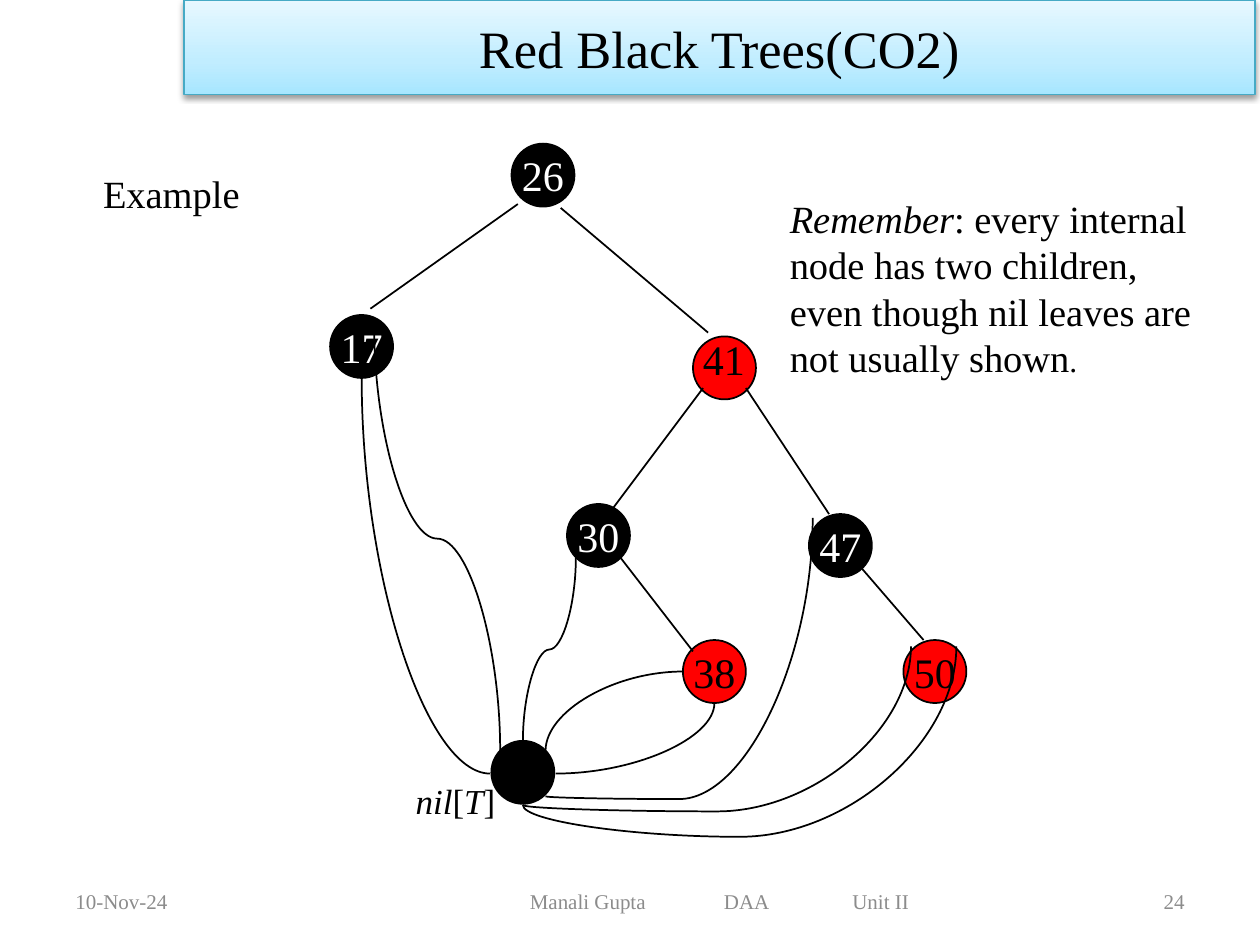
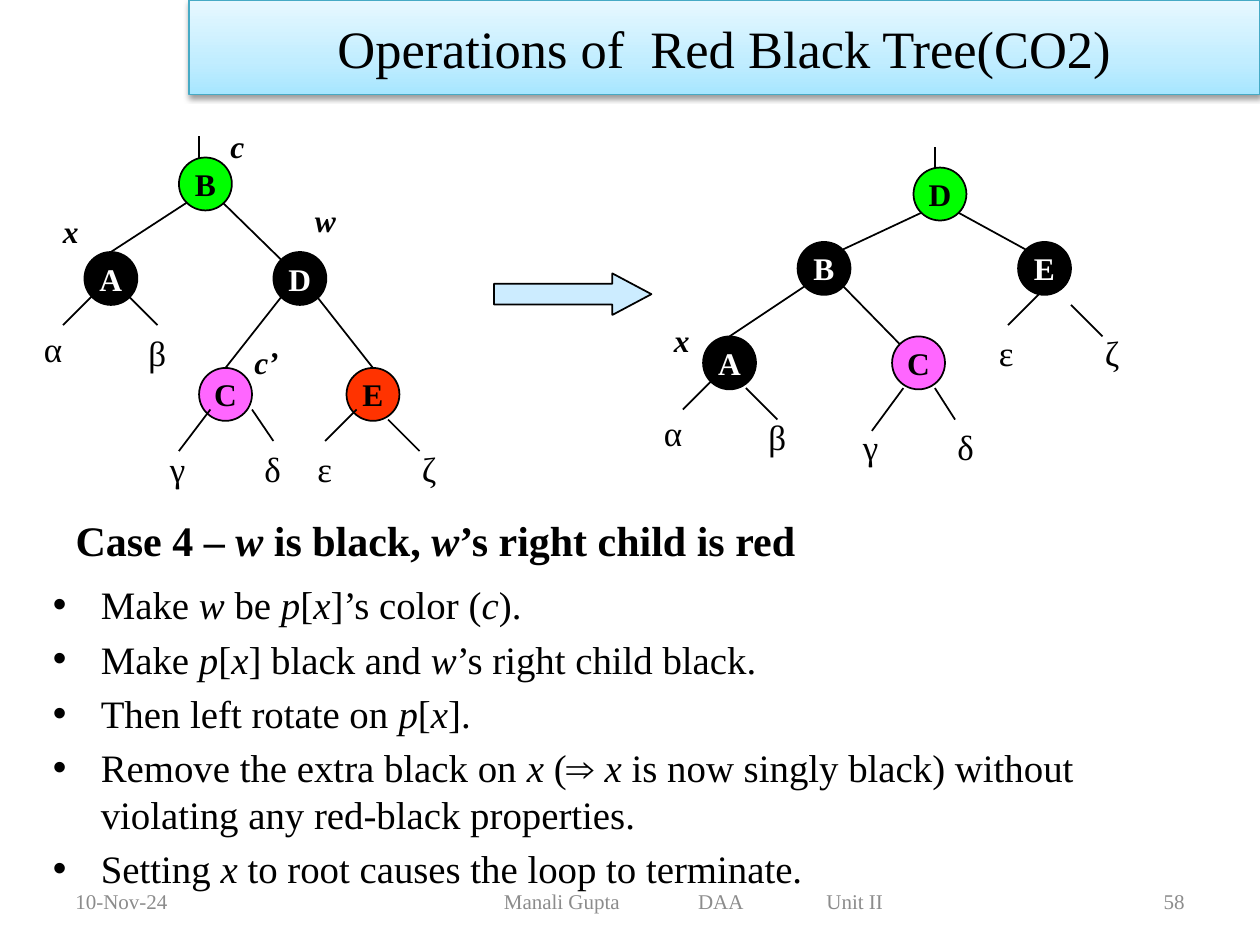
"""Build two slides on red-black trees: an example tree and deletion case 4."""
from dataclasses import dataclass

from lxml.etree import SubElement
from pptx import Presentation
from pptx.dml.color import RGBColor
from pptx.enum.shapes import MSO_CONNECTOR as Connector, MSO_SHAPE as Shape
from pptx.enum.text import MSO_ANCHOR as Anchor, MSO_AUTO_SIZE as AutoSize, PP_ALIGN as Align
from pptx.oxml import parse_xml
from pptx.oxml.ns import nsdecls, qn
from pptx.util import Pt

EMU_PER_PX = 9144


@dataclass(frozen=True)
class Theme:
    font: str = "Times New Roman"
    black: str = "000000"
    white: str = "FFFFFF"
    red: str = "FF0000"
    orange: str = "FF3300"
    green: str = "00FF00"
    pink: str = "FF66FF"
    arrow: str = "CCECFF"
    footer: str = "8C8C8C"
    banner_line: str = "46AAC5"
    banner_stops: tuple = ((0, "A7E6FF"), (35, "C1EDFF"), (100, "E7F8FF"))
    title_size: float = 30
    heading_size: float = 24
    text_size: float = 22
    bullet_size: float = 22.2
    greek_size: float = 20
    mark_size: float = 18
    footer_size: float = 12


THEME = Theme()

DATE = "10-Nov-24"
FOOTER_PARTS = ("Manali Gupta", "DAA", "Unit II")
FOOTER_TABS = (154, 256)
FOOTER_TEXT_WIDTH = 301
GREEK_WIDTHS = {"α": 38, "β": 35, "γ": 32, "δ": 34, "ε": 32, "ζ": 34}

EXAMPLE = {
    "title": "Red Black Trees(CO2)", "banner_left": 146, "number": "24", "footer_width": 458,
    "node_size": 50, "node_text": 24, "node_bold": False,
    "nodes": [
        ("26", 406, 114, THEME.black), ("17", 262, 250, THEME.black),
        ("", 550, 267, THEME.red), ("30", 450, 400, THEME.black),
        ("47", 642, 408, THEME.black), ("38", 542, 508, THEME.red),
        ("50", 717, 508, THEME.red), ("", 390, 588, THEME.black),
    ],
    "edges": [
        (411, 162, 294, 245), (445, 165, 562, 264), (558, 308, 483, 408),
        (592, 308, 658, 408), (683, 450, 733, 508), (492, 442, 550, 517),
    ],
}
SIDEWAYS_CURVE = (542, 533, 433, 596)
DOWNWARD_CURVES = [
    (567, 558, 441, 614, None), (645, 411, 433, 632, 1.01), (457, 443, 415, 588, 0.5),
    (297, 259, 397, 596, 0.5), (287, 300, 389, 614, None),
    (723, 513, 415, 639, 1.04), (759, 513, 415, 639, 1.2),
]
EXAMPLE_LABELS = [
    ("41", (548, 260, 53, 50), THEME.heading_size),
    ("*nil*[*T*]", (320, 614, 86, 44), THEME.greek_size),
]
REMEMBER = ("*Remember*: every internal node has two children, "
            "even though nil leaves are not usually shown")

CASE = {
    "title": "Operations of  Red Black Tree(CO2)", "banner_left": 150, "number": "58",
    "footer_width": 417, "node_size": 42, "node_text": 18, "node_bold": True,
    "nodes": [
        ("B", 142, 125, THEME.green), ("A", 67, 200, THEME.black),
        ("D", 217, 200, THEME.black), ("C", 158, 292, THEME.pink),
        ("E", 275, 292, THEME.orange),
        ("D", 725, 133, THEME.green), ("B", 633, 192, THEME.black),
        ("E", 808, 192, THEME.black), ("A", 558, 267, THEME.black),
        ("C", 708, 267, THEME.pink),
    ],
    "edges": [
        (158, 108, 158, 125), (148, 161, 88, 200), (177, 161, 223, 206),
        (223, 236, 179, 292), (252, 236, 296, 292), (75, 233, 50, 258),
        (100, 233, 125, 258), (167, 325, 142, 358), (200, 325, 217, 350),
        (283, 325, 258, 350), (308, 333, 333, 358),
        (742, 117, 742, 133), (731, 169, 669, 198), (761, 169, 814, 198),
        (639, 227, 579, 267), (669, 227, 714, 273), (567, 300, 542, 325),
        (592, 308, 617, 333), (717, 308, 692, 342), (742, 308, 758, 333),
        (825, 233, 800, 258), (850, 242, 875, 267),
    ],
}
SUBTREES = [
    ("α", 25, 255), ("β", 108, 258), ("γ", 125, 350),
    ("δ", 200, 350), ("ε", 242, 350), ("ζ", 325, 350),
    ("α", 517, 322), ("β", 600, 325), ("γ", 675, 333),
    ("δ", 750, 333), ("ε", 783, 258), ("ζ", 867, 258),
]
POINTERS = [
    ("x", 40, 163, 37), ("w", 240, 155, 42), ("x", 525, 250, 37),
    ("c", 173, 96, 35), ("c’", 192, 267, 46),
]
CASE_HEADING = "Case 4 – *w* is black, *w*’s right child is red"
CASE_STEPS = [
    "Make *w* be *p*[*x*]’s color (*c*).",
    "Make *p*[*x*] black and *w*’s right child black.",
    "Then left rotate on *p*[*x*].",
    "Remove the extra black on *x* (⇒ *x* is now singly black) without "
    "violating any red-black properties.",
    "Setting *x* to root causes the loop to terminate.",
]


def px(*lengths):
    return [round(length * EMU_PER_PX) for length in lengths]


def rgb(color):
    return RGBColor.from_string(color)


def write(paragraph, text, size, color=THEME.black, bold=False):
    """Add runs to a paragraph; parts between asterisks are italic."""
    for index, part in enumerate(text.split("*")):
        if part:
            run = paragraph.add_run()
            run.text = part
            font = run.font
            font.name, font.size, font.bold = THEME.font, Pt(size), bold
            font.italic = index % 2 == 1
            font.color.rgb = rgb(color)


def place(shape, box):
    shape.left, shape.top, shape.width, shape.height = px(*box)


def add_text(slide, text, box, size, color=THEME.black, bold=False,
             align=Align.LEFT, wrap=True, anchor=Anchor.TOP):
    frame = slide.shapes.add_textbox(*px(*box)).text_frame
    frame.word_wrap = wrap
    frame.auto_size = AutoSize.NONE
    frame.vertical_anchor = anchor
    paragraph = frame.paragraphs[0]
    paragraph.alignment = align
    write(paragraph, text, size, color, bold)
    return frame


def add_filled(slide, kind, box, color):
    shape = slide.shapes.add_shape(kind, *px(*box))
    shape.shadow.inherit = False
    shape.fill.solid()
    shape.fill.fore_color.rgb = rgb(color)
    shape.line.color.rgb = rgb(THEME.black)
    shape.line.width = Pt(1)
    return shape


def add_line(slide, ends, kind=Connector.STRAIGHT):
    connector = slide.shapes.add_connector(kind, *px(*ends))
    connector.line.color.rgb = rgb(THEME.black)
    connector.line.width = Pt(1)
    SubElement(connector._element.spPr, qn("a:effectLst"))
    return connector


def set_curve(connector, bend=None):
    """Make a quarter curve, or an S curve that turns at the bend."""
    geometry = connector._element.spPr.find(qn("a:prstGeom"))
    geometry.set("prst", "curvedConnector2" if bend is None else "curvedConnector3")
    if bend is not None:
        guides = geometry.find(qn("a:avLst"))
        if guides is None:
            guides = SubElement(geometry, qn("a:avLst"))
        SubElement(guides, qn("a:gd"), name="adj1", fmla=f"val {round(bend * 100000)}")


def add_downward_curve(slide, x1, y1, x2, y2, bend):
    """Turn a sideways connector so that it leaves its start downwards."""
    center_x, center_y = (x1 + x2) / 2, (y1 + y2) / 2
    side = 1 if x2 < x1 else -1
    run, rise = side * (y2 - y1) / 2, abs(x2 - x1) / 2
    ends = (center_x - run, center_y - rise, center_x + run, center_y + rise)
    connector = add_line(slide, ends, Connector.CURVE)
    turn = 90 if side == 1 else 270
    connector._element.spPr.find(qn("a:xfrm")).set("rot", str(turn * 60000))
    set_curve(connector, bend)


def add_banner(slide, text, left):
    title = slide.shapes.title
    place(title, (left, 0, 850, 75))
    stops = "".join(f'<a:gs pos="{position * 1000}"><a:srgbClr val="{color}"/></a:gs>'
                    for position, color in THEME.banner_stops)
    properties = title._element.spPr
    properties.append(parse_xml(
        f'<a:prstGeom {nsdecls("a")} prst="rect"><a:avLst/></a:prstGeom>'))
    properties.append(parse_xml(
        f'<a:gradFill {nsdecls("a")} rotWithShape="1"><a:gsLst>{stops}</a:gsLst>'
        '<a:lin ang="16200000" scaled="0"/></a:gradFill>'))
    title.line.color.rgb = rgb(THEME.banner_line)
    title.line.width = Pt(0.75)
    properties.append(parse_xml(
        f'<a:effectLst {nsdecls("a")}><a:outerShdw blurRad="40000" dist="20000" '
        f'dir="5400000" rotWithShape="0"><a:srgbClr val="{THEME.black}">'
        '<a:alpha val="38000"/></a:srgbClr></a:outerShdw></a:effectLst>'))
    frame = title.text_frame
    frame.auto_size = AutoSize.NONE
    frame.vertical_anchor = Anchor.MIDDLE
    paragraph = frame.paragraphs[0]
    paragraph.alignment = Align.CENTER
    write(paragraph, text, THEME.title_size)


def add_footer(slide, number, width):
    style = {"size": THEME.footer_size, "color": THEME.footer, "anchor": Anchor.MIDDLE}
    add_text(slide, DATE, (50, 695, 233, 40), **style)
    add_text(slide, number, (717, 695, 233, 40), align=Align.RIGHT, **style)
    frame = add_text(slide, "", (342, 695, width, 40), **style)
    frame.margin_left = px((width - FOOTER_TEXT_WIDTH) / 2)[0]
    paragraph = frame.paragraphs[0]
    tabs = SubElement(paragraph._p.get_or_add_pPr(), qn("a:tabLst"))
    for position in FOOTER_TABS:
        SubElement(tabs, qn("a:tab"), pos=str(px(position)[0]), algn="l")
    write(paragraph, "\t".join(FOOTER_PARTS), THEME.footer_size, THEME.footer)


def add_tree_slide(presentation, layout_index, content):
    """Add a slide with its banner, footer, nodes and edges."""
    slide = presentation.slides.add_slide(presentation.slide_layouts[layout_index])
    add_banner(slide, content["title"], content["banner_left"])
    add_footer(slide, content["number"], content["footer_width"])
    size = content["node_size"]
    for key, left, top, color in content["nodes"]:
        node = add_filled(slide, Shape.OVAL, (left, top, size, size), color)
        frame = node.text_frame
        frame.word_wrap = False
        frame.vertical_anchor = Anchor.MIDDLE
        frame.paragraphs[0].alignment = Align.CENTER
        text_color = THEME.white if color == THEME.black else THEME.black
        write(frame.paragraphs[0], key, content["node_text"], text_color, content["node_bold"])
    for edge in content["edges"]:
        add_line(slide, edge)
    return slide


def build_example(presentation):
    slide = add_tree_slide(presentation, 5, EXAMPLE)
    set_curve(add_line(slide, SIDEWAYS_CURVE, Connector.CURVE))
    for curve in DOWNWARD_CURVES:
        add_downward_curve(slide, *curve)
    for text, box, size in EXAMPLE_LABELS:
        add_text(slide, text, box, size, wrap=False)
    add_text(slide, "Example", (21, 130, 230, 47), THEME.text_size, align=Align.CENTER)
    reminder = add_text(slide, REMEMBER, (617, 150, 350, 158), THEME.text_size)
    write(reminder.paragraphs[0], ".", THEME.mark_size)


def build_case(presentation):
    slide = add_tree_slide(presentation, 1, CASE)
    for letter, left, top in SUBTREES:
        add_text(slide, letter, (left, top, GREEK_WIDTHS[letter], 43),
                 THEME.greek_size, wrap=False)
    for name, left, top, width in POINTERS:
        add_text(slide, f"*{name}*", (left, top, width, 50), THEME.mark_size,
                 bold=True, wrap=False)
    arrow = add_filled(slide, Shape.RIGHT_ARROW, (392, 217, 125, 33), THEME.arrow)
    arrow.adjustments[1] = 0.94
    heading = add_text(slide, CASE_HEADING, (0, 398, 1000, 61), THEME.heading_size,
                       bold=True, anchor=Anchor.MIDDLE)
    heading.margin_left = px(60)[0]

    body = slide.placeholders[1]
    place(body, (32, 456, 918, 231))
    frame = body.text_frame
    frame.auto_size = AutoSize.NONE
    for index, step in enumerate(CASE_STEPS):
        paragraph = frame.add_paragraph() if index else frame.paragraphs[0]
        properties = paragraph._p.get_or_add_pPr()
        indent = px(38)[0]
        properties.set("marL", str(indent))
        properties.set("indent", str(-indent))
        SubElement(properties, qn("a:buChar"), char="•")
        paragraph.space_before = Pt(4.4 if index else 0)
        write(paragraph, step, THEME.bullet_size)


def main():
    presentation = Presentation()
    presentation.slide_width, presentation.slide_height = px(1000, 750)
    build_example(presentation)
    build_case(presentation)
    presentation.save("out.pptx")


if __name__ == "__main__":
    main()
